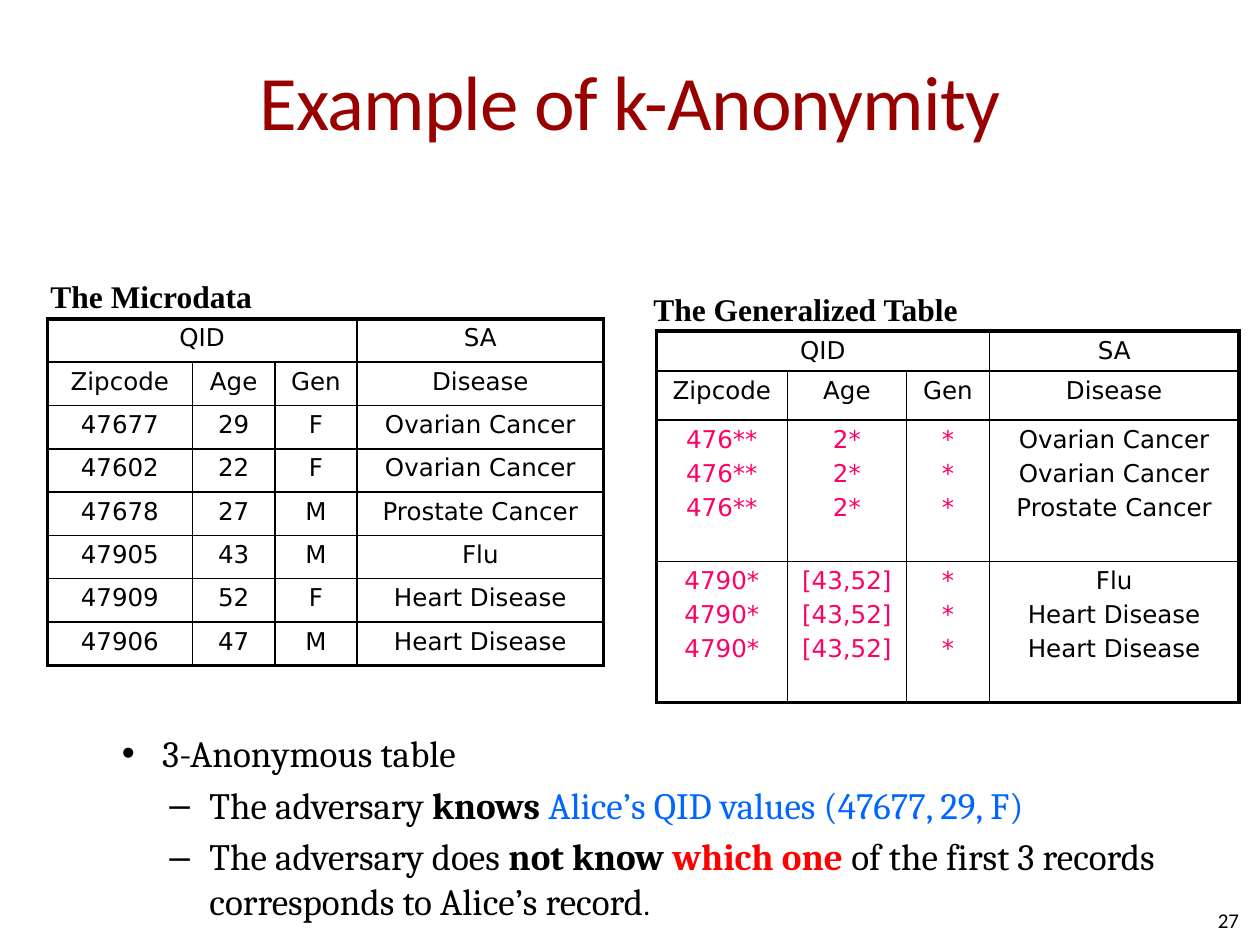
from lxml.etree import SubElement
from pptx import Presentation
from pptx.dml.color import RGBColor
from pptx.enum.text import MSO_ANCHOR, MSO_AUTO_SIZE, PP_ALIGN
from pptx.oxml.ns import qn
from pptx.util import Pt

COLORS = {"black": "000000", "title": "990000", "hidden": "FF0066",
          "known": "0066FF", "unsure": "FF0000"}


def add_span(para, text, font, size, color="black", bold=False, spacing=None):
    span = para.add_run()
    span.text = text
    span.font.name = font
    span.font.size = Pt(size)
    span.font.bold = bold
    span.font.color.rgb = RGBColor.from_string(COLORS[color])
    if spacing is not None:
        span.font._element.set("spc", str(round(spacing * 100)))


class SlideBuilder:
    title_font, body_font = "Calibri", "Cambria"
    cell_font, label_font = "DejaVu Sans", "Times New Roman"
    outer_line, inner_line = 2.25, 1

    def __init__(self, page):
        self.page = page

    def place(self, shape, left, top, width, height):
        shape.left, shape.top = Pt(left), Pt(top)
        shape.width, shape.height = Pt(width), Pt(height)

    def title(self, text, *area):
        box = self.page.shapes.title
        self.place(box, *area)
        frame = box.text_frame
        frame.auto_size = MSO_AUTO_SIZE.NONE
        frame.vertical_anchor = MSO_ANCHOR.MIDDLE
        frame.margin_left = frame.margin_right = 0
        para = frame.paragraphs[0]
        para.alignment = PP_ALIGN.CENTER
        add_span(para, text, self.title_font, 44, color="title", spacing=-0.5)

    def bullets(self, items, *area):
        box = self.page.placeholders[1]
        self.place(box, *area)
        frame = box.text_frame
        frame.auto_size = MSO_AUTO_SIZE.NONE
        for index, (level, spans) in enumerate(items):
            para = frame.add_paragraph() if index else frame.paragraphs[0]
            para.level = level
            para.space_before = Pt(4 if index else 0)
            properties = para._p.get_or_add_pPr()
            properties.set("marL", str(Pt(23 + 27 * level)))
            properties.set("indent", str(Pt(-23)))
            for text, style in spans:
                add_span(para, text, self.body_font, **{"size": 21.2, **style})

    def text(self, text, *area, align=PP_ALIGN.CENTER, anchor=MSO_ANCHOR.TOP,
             margins=None, **style):
        frame = self.page.shapes.add_textbox(*map(Pt, area)).text_frame
        frame.word_wrap = True
        frame.vertical_anchor = anchor
        if margins is not None:
            frame.margin_left = frame.margin_right = Pt(margins)
            frame.margin_top = frame.margin_bottom = Pt(margins)
        para = frame.paragraphs[0]
        para.alignment = align
        add_span(para, text, **style)

    def border(self, cell, widths):
        properties = cell._tc.get_or_add_tcPr()
        for index, (side, width) in enumerate(zip("LRTB", widths)):
            line = SubElement(properties, qn(f"a:ln{side}"), w=str(Pt(width)))
            fill = SubElement(line, qn("a:solidFill"))
            SubElement(fill, qn("a:srgbClr"), val=COLORS["black"])
            properties.insert(index, line)

    def table(self, left, top, columns, heights, rows, qid_color="black"):
        area = map(Pt, (left, top, sum(columns), sum(heights)))
        table = self.page.shapes.add_table(len(rows), len(columns), *area).table
        table.first_row = table.horz_banding = False
        for column, width in zip(table.columns, columns):
            column.width = Pt(width)
        for row, height in zip(table.rows, heights):
            row.height = Pt(height)
        last_row, last_column = len(rows) - 1, len(columns) - 1
        for r, values in enumerate(rows):
            for c, value in enumerate(values):
                cell = table.cell(r, c)
                cell.fill.background()
                cell.margin_left = cell.margin_right = Pt(5)
                cell.margin_top = cell.margin_bottom = Pt(3)
                edges = (c == 0, c == last_column, r == 0, r == last_row)
                self.border(cell, [self.outer_line if edge else self.inner_line
                                   for edge in edges])
                color = qid_color if r > 1 and c < last_column else "black"
                for index, text in enumerate(value.split("\n") if value else []):
                    frame = cell.text_frame
                    para = frame.add_paragraph() if index else frame.paragraphs[0]
                    para.alignment = PP_ALIGN.CENTER
                    para.space_before = Pt(3 if index else 0)
                    add_span(para, text, self.cell_font, 14, color=color)
        table.cell(0, 0).merge(table.cell(0, last_column - 1))


def main():
    deck = Presentation()
    deck.slide_width, deck.slide_height = Pt(720), Pt(540)
    builder = SlideBuilder(deck.slides.add_slide(deck.slide_layouts[1]))

    # Title and conclusions
    builder.title("Example of k-Anonymity", 36, 12, 648, 90)
    builder.bullets([
        (0, [("3-Anonymous table", {})]),
        (1, [("The adversary ", {}),
             ("knows ", {"bold": True}),
             ("Alice’s QID values (47677, 29, F)", {"color": "known"})]),
        (1, [("The adversary does ", {}),
             ("not know ", {"bold": True}),
             ("which one ", {"bold": True, "color": "unsure"}),
             ("of the first 3 records corresponds to Alice’s record", {}),
             (".", {"size": 17.5})]),
    ], 62.5, 414, 620.5, 101)

    # Page number
    builder.text("27", 540, 511, 168, 29, align=PP_ALIGN.RIGHT,
                 anchor=MSO_ANCHOR.MIDDLE, margins=0,
                 font=builder.title_font, size=12)

    # Tables
    header = [("QID", "", "", "SA"), ("Zipcode", "Age", "Gen", "Disease")]
    records = [
        ("47677", "29", "F", "Ovarian Cancer"),
        ("47602", "22", "F", "Ovarian Cancer"),
        ("47678", "27", "M", "Prostate Cancer"),
        ("47905", "43", "M", "Flu"),
        ("47909", "52", "F", "Heart Disease"),
        ("47906", "47", "M", "Heart Disease"),
    ]
    builder.table(27, 182.2, [83, 47, 47, 141], [24.75] * 8, header + records)

    groups = []
    for start, general in ((0, ("476**", "2*", "*")),
                           (3, ("4790*", "[43,52]", "*"))):
        diseases = [record[-1] for record in records[start:start + 3]]
        groups.append([*("\n".join([value] * 3) for value in general),
                       "\n".join(diseases)])
    builder.table(375, 189.2, [75, 68, 47.5, 142.5], [22, 28, 80.8, 80.8],
                  header + groups, qid_color="hidden")

    # Table headings
    for heading, area in (("The Microdata", (17.3, 155, 138.2, 18)),
                          ("The Generalized Table", (356.4, 162, 208, 24.5))):
        builder.text(heading, *area, font=builder.label_font, size=18, bold=True)

    deck.save("out.pptx")


if __name__ == "__main__":
    main()
